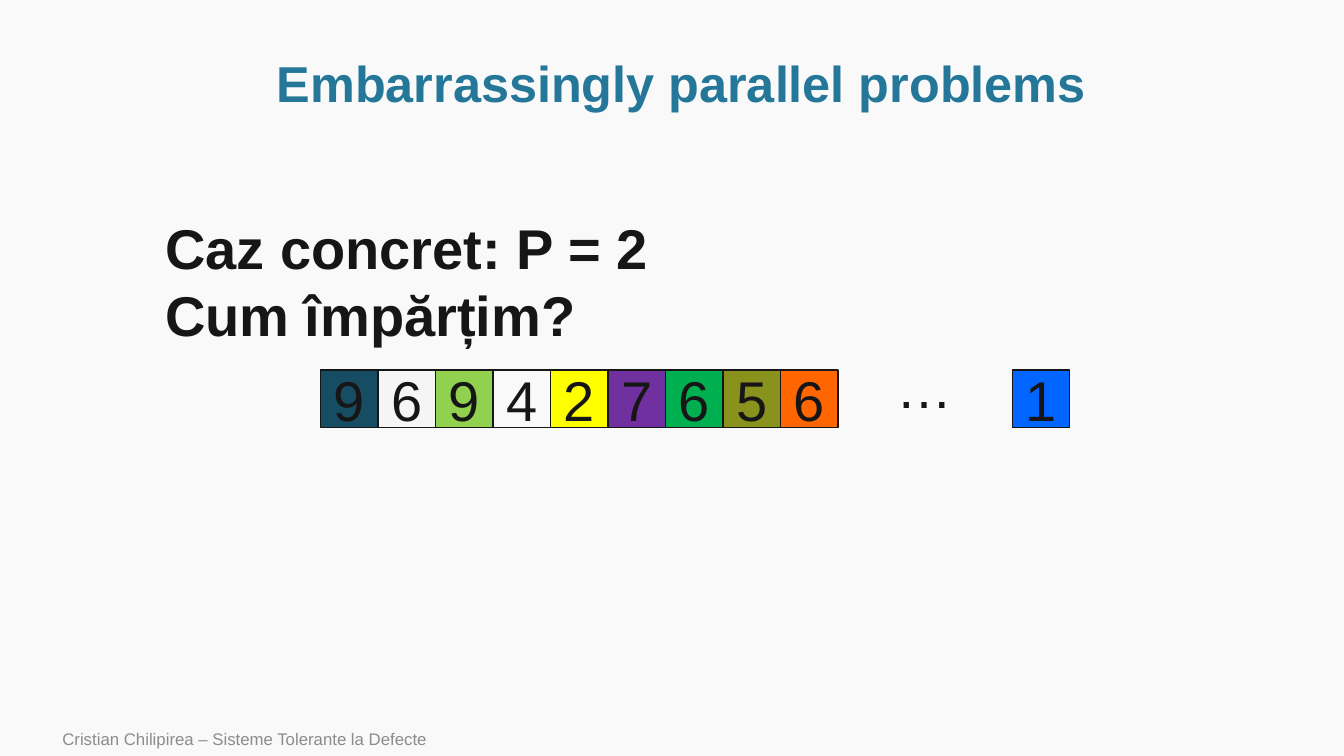
import pptx
import pptx.dml.color
import pptx.enum.shapes
import pptx.enum.text
import pptx.util

Inches = pptx.util.Inches
Pt = pptx.util.Pt
ALIGN = pptx.enum.text.PP_ALIGN
ANCHOR = pptx.enum.text.MSO_ANCHOR

INK = "171616"
CELL_SIZE = 0.57
ARRAY_LEFT, ARRAY_TOP = 3.18, 3.67
LAST_CELL_LEFT = 10.04
ARRAY_CELLS = [
    ("9", "174D63"), ("6", "F5F5F5"), ("9", "92D050"),
    ("4", None), ("2", "FFFF00"), ("7", "7030A0"),
    ("6", "00B050"), ("5", "8A921E"), ("6", "FF6600"),
]


def color(hex_value):
    return pptx.dml.color.RGBColor.from_string(hex_value)


class SlideBuilder:
    font_name = "Arial"

    def __init__(self, slide, background):
        self.slide = slide
        slide.background.fill.solid()
        slide.background.fill.fore_color.rgb = color(background)

    def add_lines(self, frame, lines, size, ink=INK, bold=False,
                  align=ALIGN.LEFT, line_spacing=None):
        """Fill a text frame with one paragraph per line."""
        for index, line in enumerate(lines):
            paragraph = frame.paragraphs[0] if index == 0 else frame.add_paragraph()
            paragraph.alignment = align
            paragraph.line_spacing = line_spacing
            run = paragraph.add_run()
            run.text = line
            run.font.name = self.font_name
            run.font.size = Pt(size)
            run.font.bold = bold
            run.font.color.rgb = color(ink)

    def text(self, left, top, width, height, lines, size,
             anchor=ANCHOR.TOP, wrap=True, **style):
        box = self.slide.shapes.add_textbox(
            Inches(left), Inches(top), Inches(width), Inches(height))
        box.text_frame.word_wrap = wrap
        box.text_frame.vertical_anchor = anchor
        self.add_lines(box.text_frame, lines, size, **style)

    def cell(self, left, top, digit, fill):
        """Draw one array element; a fill of None leaves it transparent."""
        square = self.slide.shapes.add_shape(
            pptx.enum.shapes.MSO_SHAPE.RECTANGLE,
            Inches(left), Inches(top), Inches(CELL_SIZE), Inches(CELL_SIZE))
        square.shadow.inherit = False
        if fill is None:
            square.fill.background()
        else:
            square.fill.solid()
            square.fill.fore_color.rgb = color(fill)
        square.line.color.rgb = color(INK)
        square.line.width = Pt(1)
        square.text_frame.vertical_anchor = ANCHOR.MIDDLE
        self.add_lines(square.text_frame, [digit], 40, align=ALIGN.CENTER)


def main():
    deck = pptx.Presentation()
    deck.slide_width = Inches(13.33)
    deck.slide_height = Inches(7.5)
    builder = SlideBuilder(deck.slides.add_slide(deck.slide_layouts[6]), "F9F9F9")

    builder.text(0.52, 7.16, 8.4, 0.34,
                 ["Cristian Chilipirea – Sisteme Tolerante la Defecte"], 12,
                 anchor=ANCHOR.MIDDLE, ink="8C8C8C")
    builder.text(1.01, 0.51, 11.5, 0.69, ["Embarrassingly parallel problems"], 36,
                 anchor=ANCHOR.MIDDLE, ink="247798", bold=True,
                 align=ALIGN.CENTER, line_spacing=0.9)

    for position, (digit, fill) in enumerate(ARRAY_CELLS):
        builder.cell(ARRAY_LEFT + position * CELL_SIZE, ARRAY_TOP, digit, fill)
    builder.cell(LAST_CELL_LEFT, ARRAY_TOP, "1", "0066FF")

    builder.text(1.54, 2.07, 6.2, 1.45,
                 ["Caz concret: P = 2", "Cum împărțim?"], 40, bold=True)
    builder.text(8.79, 3.45, 0.76, 0.77, ["…"], 40, wrap=False)

    deck.save("out.pptx")


if __name__ == "__main__":
    main()
